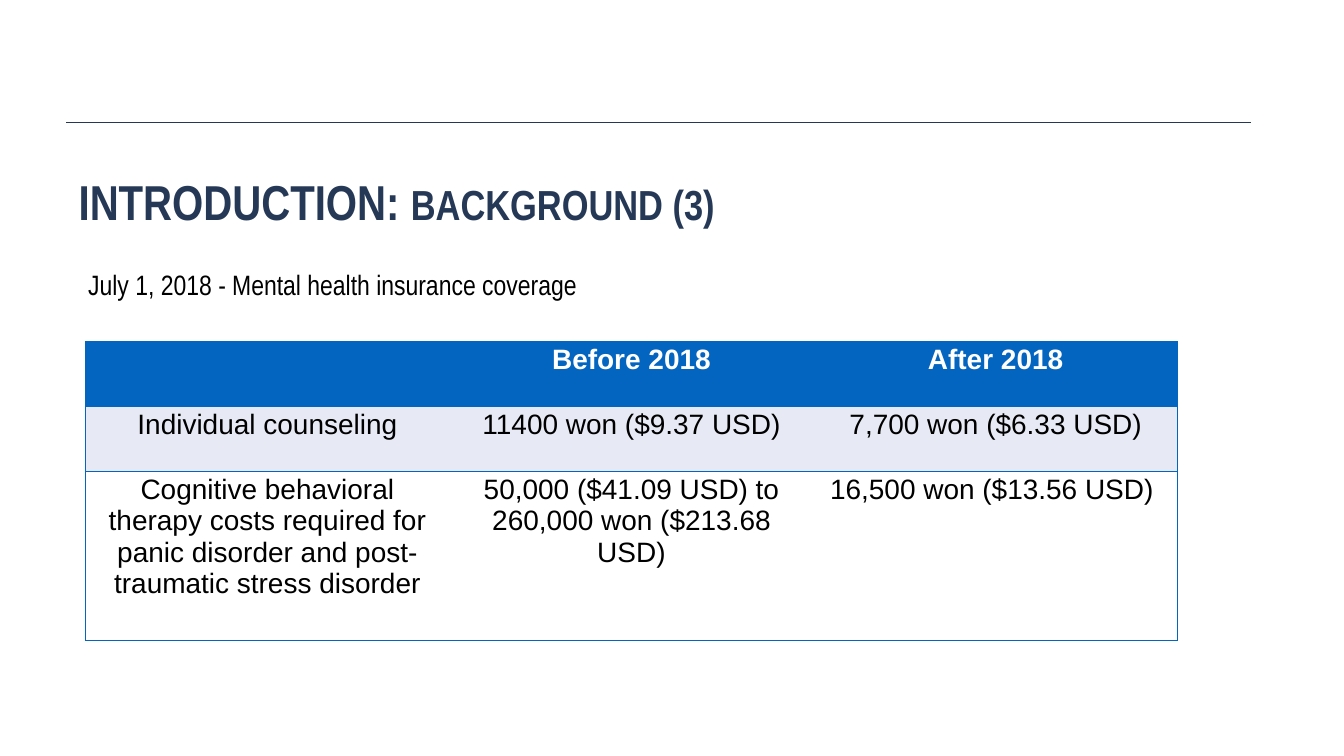
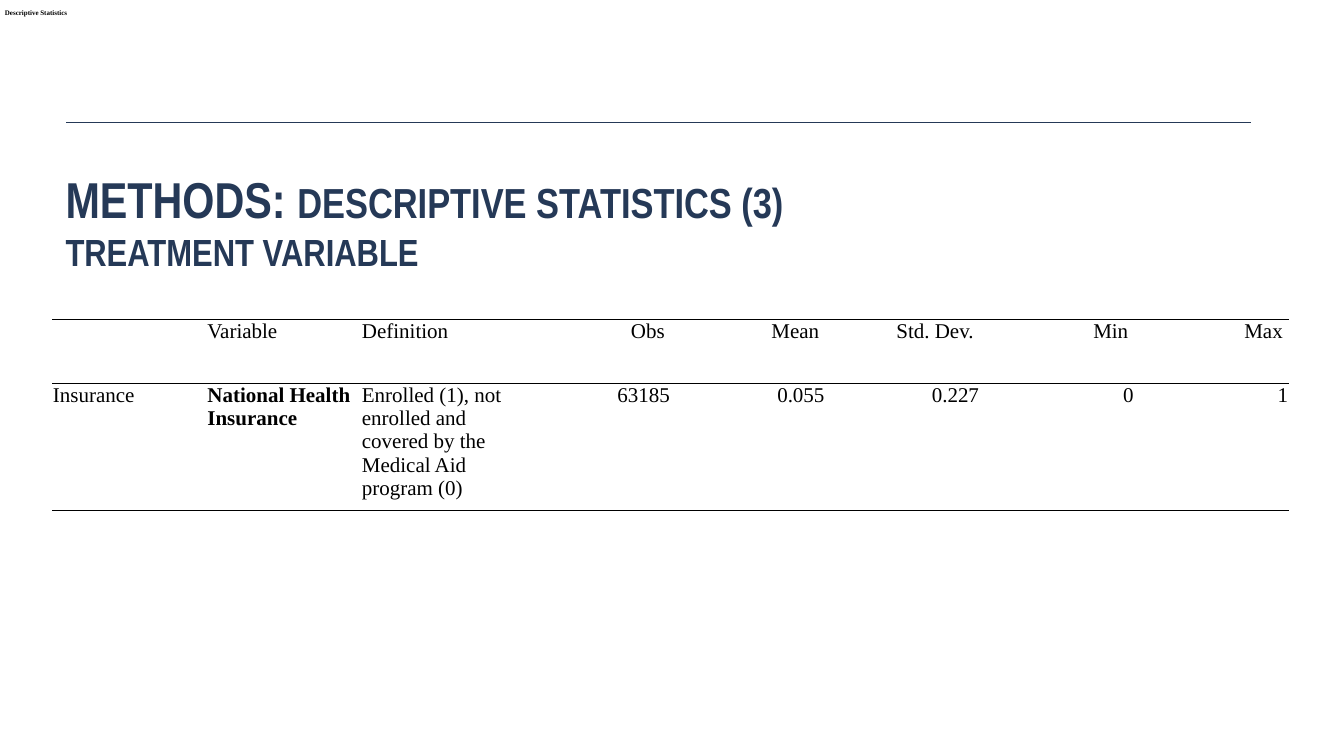
from lxml import etree
from pptx import Presentation
from pptx.dml.color import RGBColor
from pptx.enum.shapes import MSO_CONNECTOR
from pptx.enum.text import MSO_ANCHOR, PP_ALIGN
from pptx.oxml.ns import qn
from pptx.util import Inches, Pt

LEFT, CENTER, RIGHT = PP_ALIGN.LEFT, PP_ALIGN.CENTER, PP_ALIGN.RIGHT
TOP, MIDDLE = MSO_ANCHOR.TOP, MSO_ANCHOR.MIDDLE
STRAIGHT = MSO_CONNECTOR.STRAIGHT
BLANK_LAYOUT = 6
PLAIN_TABLE_STYLE = "{2D5ABB26-0587-4C30-8999-92F81FD0307C}"
COLORS = {
    "navy": "253957",
    "blue": "0365C0",
    "pale": "E7EAF4",
    "white": "FFFFFF",
    "black": "000000",
}
TITLE_FONT, COST_FONT, STATISTICS_FONT = "Arial Narrow", "Arial", "Times New Roman"


def add_text(slide, box, paragraphs, font, color, bold, inset, anchor=TOP):
    """Add a text box; each paragraph is a list of (text, size) runs."""
    frame = slide.shapes.add_textbox(*map(Inches, box)).text_frame
    frame.word_wrap = True
    frame.vertical_anchor = anchor
    frame.margin_left = frame.margin_right = Inches(inset)
    frame.margin_top = frame.margin_bottom = Inches(min(inset, 0.08))
    for index, runs in enumerate(paragraphs):
        paragraph = frame.add_paragraph() if index else frame.paragraphs[0]
        for text, size in runs:
            run = paragraph.add_run()
            run.text = text
            run.font.name = font
            run.font.size = Pt(size)
            run.font.bold = bold
            run.font.color.rgb = RGBColor.from_string(COLORS[color])


def fill_cell(cell, text, font, size, color, bold, align, borders, border_color):
    """Write one cell; borders maps sides, in the order L, R, T, B, to widths."""
    properties = cell._tc.get_or_add_tcPr()
    for side, width in borders.items():
        line = etree.SubElement(properties, qn(f"a:ln{side}"), w=str(Pt(width)))
        solid = etree.SubElement(line, qn("a:solidFill"))
        etree.SubElement(solid, qn("a:srgbClr"), val=COLORS[border_color])
    paragraph = cell.text_frame.paragraphs[0]
    paragraph.alignment = align
    if text:
        run = paragraph.add_run()
        run.text = text
        run.font.name = font
        run.font.size = Pt(size)
        run.font.bold = bold
        run.font.color.rgb = RGBColor.from_string(COLORS[color])


presentation = Presentation()
presentation.slide_width = Inches(26.67)
presentation.slide_height = Inches(15)

# Shared frame: rule and title
titles = [
    (1.48, 3.32, [[("INTRODUCTION: ", 70), ("BACKGROUND (3)", 60)]]),
    (1.22, 3.25, [[("METHODS: ", 72), ("DESCRIPTIVE STATISTICS (3)", 60)],
                  [("TREATMENT VARIABLE", 54)]]),
]
slides = []
for left, top, title in titles:
    slide = presentation.slides.add_slide(presentation.slide_layouts[BLANK_LAYOUT])
    add_text(slide, (left, top, 23.52, 2.53), title, TITLE_FONT, "navy", True, 0.08)
    rule = slide.shapes.add_connector(
        STRAIGHT, Inches(1.31), Inches(2.42), Inches(24.83), Inches(2.42))
    rule.line.color.rgb = RGBColor.from_string(COLORS["navy"])
    rule.line.width = Pt(1)
    etree.SubElement(rule._element.spPr, qn("a:effectLst"))
    slides.append(slide)
background_slide, statistics_slide = slides

add_text(background_slide, (1.67, 5.22, 23.82, 0.83),
         [[("July 1, 2018 - Mental health insurance coverage", 40)]],
         TITLE_FONT, "black", False, 0.08, MIDDLE)
add_text(statistics_slide, (0, 0, 26.67, 0.5), [[("Descriptive Statistics", 10)]],
         STATISTICS_FONT, "black", True, 0.1, MIDDLE)

# Tables
cost_rows = [
    ["", "Before 2018", "After 2018"],
    ["Individual counseling", "11400 won ($9.37 USD)", "7,700 won ($6.33 USD)"],
    ["Cognitive behavioral therapy costs required for panic disorder "
     "and post-traumatic stress disorder",
     "50,000 ($41.09 USD) to 260,000 won ($213.68 USD)",
     "16,500 won ($13.56 USD) "],
]
statistics_rows = [
    ["", "Variable", "Definition", " Obs ", " Mean ", " Std. Dev. ", " Min ", " Max "],
    ["Insurance", "National Health Insurance",
     "Enrolled (1), not enrolled and covered by the Medical Aid program (0)",
     "63185", "0.055", "0.227", "0", "1"],
]
tables = []
for slide, rows, box, heights in [
    (background_slide, cost_rows, (1.69, 6.78, 21.68, 5.92), [1.29, 1.29, 3.34]),
    (statistics_slide, statistics_rows, (1.04, 6.34, 24.53, 3.79), [1.26, 2.53]),
]:
    frame = slide.shapes.add_table(len(rows), len(rows[0]), *map(Inches, box))
    table = frame.table
    table._tbl.tblPr.find(qn("a:tableStyleId")).text = PLAIN_TABLE_STYLE
    for row, height in zip(table.rows, heights):
        row.height = Inches(height)
    tables.append(table)
cost_table, statistics_table = tables

row_fills = ["blue", "pale", "white"]
for row, texts in enumerate(cost_rows):
    header = row == 0
    for column, text in enumerate(texts):
        cell = cost_table.cell(row, column)
        borders = {"L": 1} if column == 0 else {}
        if column == len(texts) - 1:
            borders["R"] = 1
        borders.update(T=1, B=1)
        fill_cell(cell, text, COST_FONT, 40, "white" if header else "black",
                  header, CENTER, borders, "blue")
        cell.fill.solid()
        cell.fill.fore_color.rgb = RGBColor.from_string(COLORS[row_fills[row]])

for row, texts in enumerate(statistics_rows):
    borders = {"T": 1, "B": 1.5} if row == 0 else {"T": 1.5, "B": 1}
    for column, text in enumerate(texts):
        cell = statistics_table.cell(row, column)
        cell.margin_left = cell.margin_right = cell.margin_top = Inches(0.01)
        cell.margin_bottom = 0
        variable_name = row == 1 and column == 1
        fill_cell(cell, text, STATISTICS_FONT, 30, "black", variable_name,
                  LEFT if column < 3 else RIGHT, borders, "black")
        cell.fill.background()

presentation.save("out.pptx")
